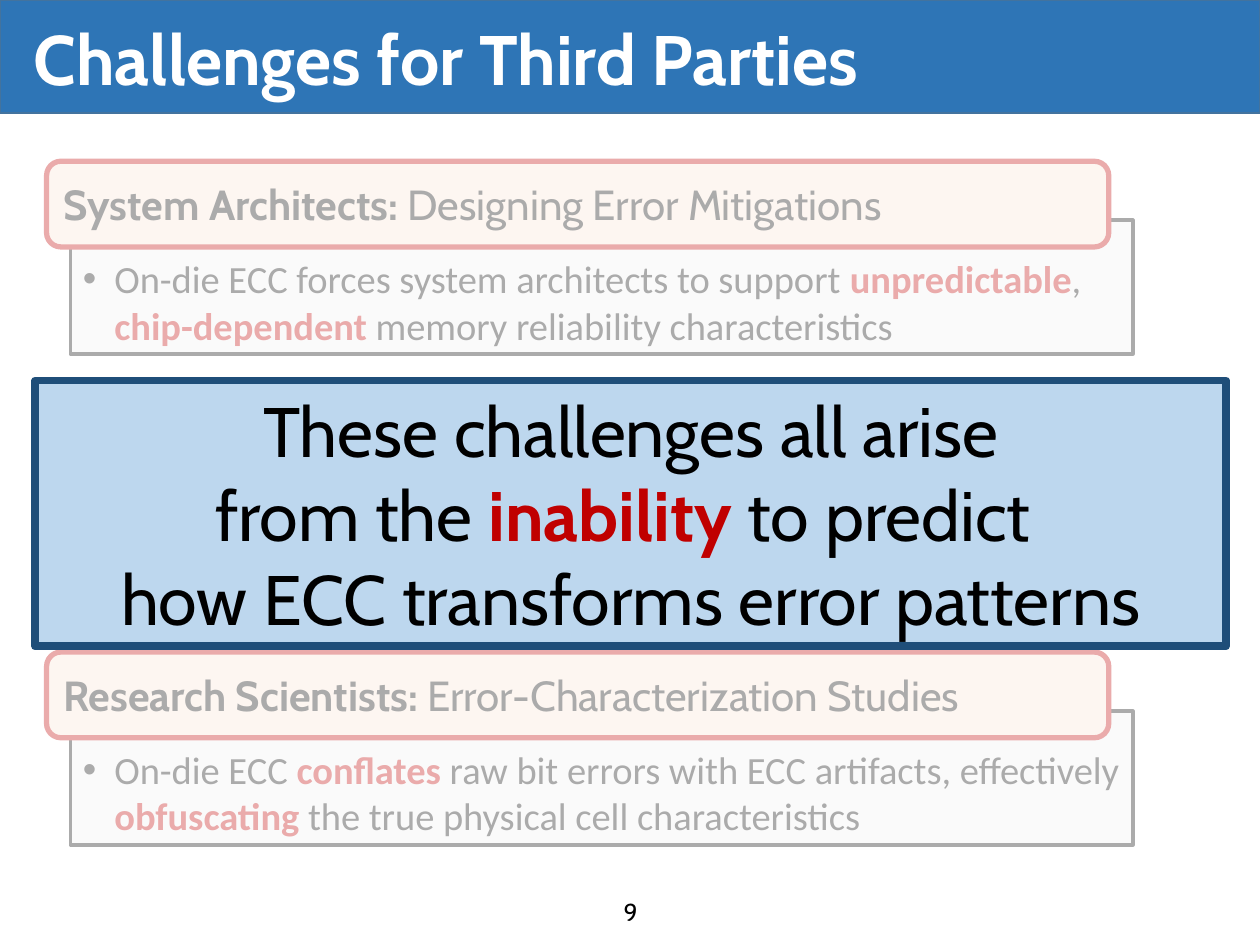
from dataclasses import dataclass, field

from lxml.etree import SubElement
from pptx import Presentation
from pptx.dml.color import RGBColor
from pptx.enum.shapes import MSO_SHAPE
from pptx.enum.text import MSO_ANCHOR, PP_ALIGN
from pptx.oxml.ns import qn
from pptx.slide import Slide
from pptx.util import Inches, Pt

COLUMNS, ROWS = 100, 75
CELL = Inches(0.1)
COLORS = {
    "white": "FFFFFF", "black": "000000", "red": "C00000",
    "banner": "2E75B6", "banner_edge": "43739E", "detail": "F2F2F2",
    "heading": "FBE5D6", "message": "BDD7EE", "message_edge": "1F4E79",
}


def color(name):
    """Return the named colour."""
    return RGBColor.from_string(COLORS[name])


def write_text(shape, paragraphs, size=24, font="Cabin", ink="black", bold=False,
               align=PP_ALIGN.LEFT, anchor=MSO_ANCHOR.MIDDLE, spacing=None, bullet=None):
    """Fill a shape with paragraphs of (text, style) runs, style being '', 'bold' or 'key'."""
    frame = shape.text_frame
    frame.word_wrap = True
    frame.vertical_anchor = anchor
    for index, runs in enumerate(paragraphs):
        paragraph = frame.paragraphs[0] if index == 0 else frame.add_paragraph()
        paragraph.alignment = align
        if spacing:
            paragraph.line_spacing = spacing
        if bullet:
            properties = paragraph._p.get_or_add_pPr()
            properties.set("marL", str(Inches(0.25)))
            properties.set("indent", str(-Inches(0.25)))
            SubElement(properties, qn("a:buFont")).set("typeface", "Arial")
            SubElement(properties, qn("a:buChar")).set("char", bullet)
        for text, style in runs:
            run = paragraph.add_run()
            run.text = text
            run.font.name = font
            run.font.size = Pt(size)
            run.font.bold = bold or style in ("bold", "key")
            run.font.color.rgb = color("red" if style == "key" else ink)


@dataclass
class Deck:
    """Hold the style and the current slide, and draw each kind of element on a grid."""
    slide: Slide
    title_size: int = 40
    heading_size: int = 24
    detail_size: int = 22
    number_size: int = 14
    card_left: float = 3.7
    card_width: float = 84.3
    card_shift: tuple = field(default=(1.9, 4.7))

    def box(self, left, top, width, height, fill, line=None, weight=1,
            kind=MSO_SHAPE.RECTANGLE, opacity=None):
        """Draw a filled shape with an optional outline and opacity in percent."""
        shape = self.slide.shapes.add_shape(
            kind, *(round(length * CELL) for length in (left, top, width, height)))
        shape.shadow.inherit = False
        shape.fill.solid()
        shape.fill.fore_color.rgb = color(fill)
        if opacity:
            tint = shape._element.spPr.find(qn("a:solidFill"))[0]
            SubElement(tint, qn("a:alpha")).set("val", str(opacity * 1000))
        if line:
            shape.line.color.rgb = color(line)
            shape.line.width = Pt(weight)
        else:
            shape.line.fill.background()
        return shape

    def label(self, left, top, width, height, text, **style):
        """Place a text box holding a single run."""
        shape = self.slide.shapes.add_textbox(
            *(round(length * CELL) for length in (left, top, width, height)))
        write_text(shape, [[(text, "")]], **style)

    def banner(self, title):
        """Draw the title band."""
        self.box(0, 0, COLUMNS, 9, "banner", "banner_edge")
        self.label(1.7, 0.9, 96.4, 8.2, title, size=self.title_size, ink="white",
                   bold=True, spacing=0.9)

    def card(self, top, heading, detail):
        """Draw a heading plate overlapping a bulleted detail box."""
        across, down = self.card_shift
        detail_box = self.box(self.card_left + across, top + down, self.card_width, 10.6,
                              "detail", "black", 2.25)
        write_text(detail_box, [detail], size=self.detail_size, font="Calibri",
                   anchor=MSO_ANCHOR.BOTTOM, bullet="•")
        plate = self.box(self.card_left, top, self.card_width, 6.8, "heading", "red", 3,
                         MSO_SHAPE.ROUNDED_RECTANGLE)
        write_text(plate, [heading], size=self.heading_size)

    def page_number(self, number):
        """Place the centred page number."""
        self.label(38.8, 70.7, 22.5, 3.1, number, size=self.number_size,
                   align=PP_ALIGN.CENTER, anchor=MSO_ANCHOR.TOP)

    def veil(self):
        """Fade everything below the banner."""
        self.box(1.9, 10.5, 96.4, 60.3, "white", opacity=67)

    def message(self, lines):
        """Draw the framed key message."""
        frame = self.box(2.8, 30.2, 94.5, 21.1, "message", "message_edge", 4.5)
        write_text(frame, lines, size=self.title_size, align=PP_ALIGN.CENTER)


def main():
    """Build and save the slide."""
    presentation = Presentation()
    presentation.slide_width = COLUMNS * CELL
    presentation.slide_height = ROWS * CELL
    deck = Deck(presentation.slides.add_slide(presentation.slide_layouts[6]))
    deck.banner("Challenges for Third Parties")
    deck.card(12.8,
              [("System Architects: ", "bold"), ("Designing Error Mitigations", "")],
              [("On-die ECC forces system architects to support ", ""),
               ("unpredictable", "key"), (", ", ""), ("chip-dependent", "key"),
               (" memory reliability characteristics", "")])
    deck.card(51.75,
              [("Research Scientists:", "bold"), (" Error-Characterization Studies", "")],
              [("On-die ECC ", ""), ("conflates ", "key"),
               ("raw bit errors with ECC artifacts, effectively ", ""),
               ("obfuscating", "key"), (" the true physical cell characteristics", "")])
    deck.page_number("9")
    deck.veil()
    deck.message([
        [("These challenges all arise", "")],
        [("from the ", ""), ("inability", "key"), (" to predict ", "")],
        [("how ECC transforms error patterns", "")],
    ])
    presentation.save("out.pptx")


if __name__ == "__main__":
    main()
